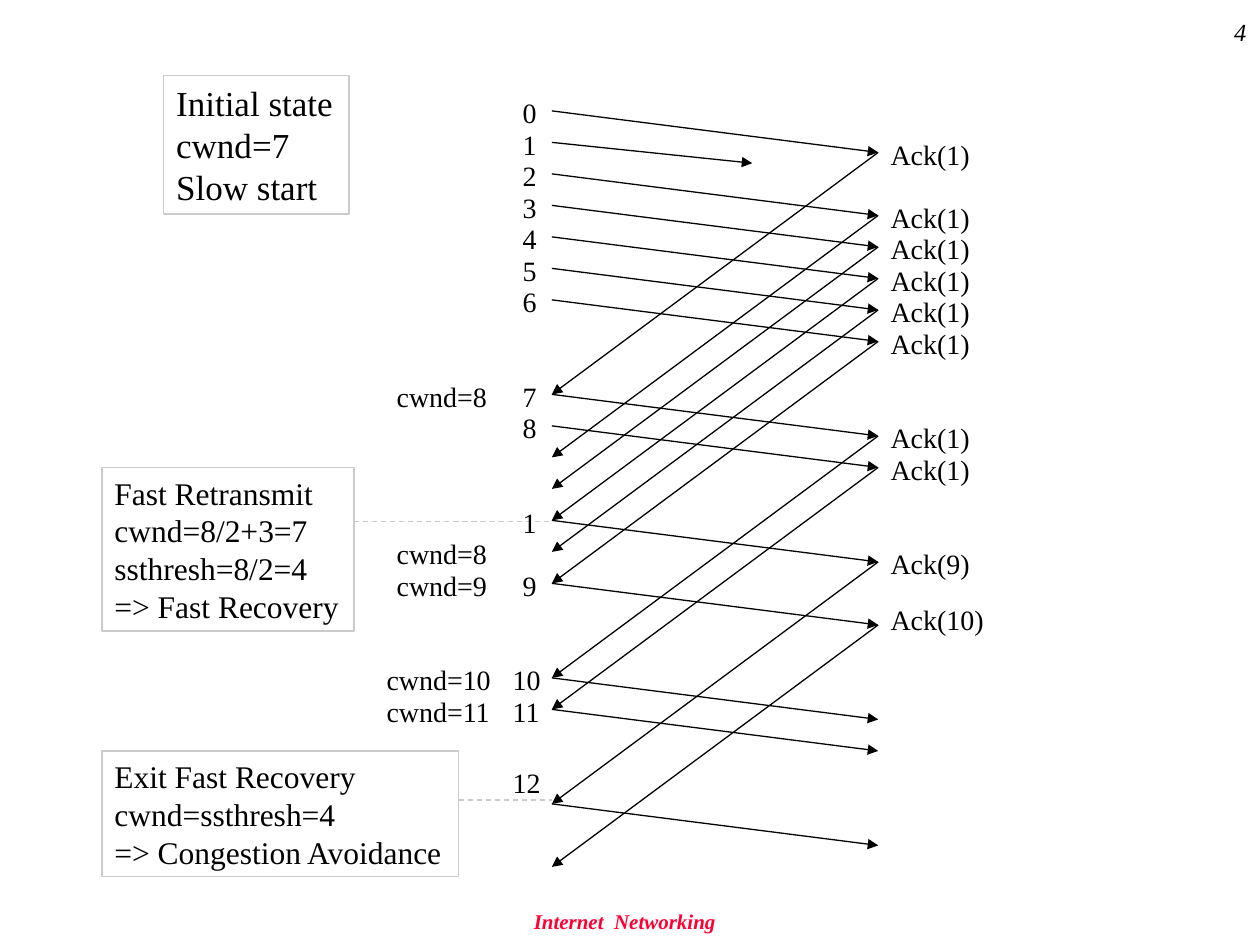
from dataclasses import dataclass
from lxml.etree import SubElement as Sub
from pptx import Presentation
from pptx.dml.color import RGBColor as RGB
from pptx.enum.dml import MSO_LINE as Dash
from pptx.enum.shapes import MSO_CONNECTOR as Link, MSO_SHAPE as Shape
from pptx.enum.text import MSO_ANCHOR as Anchor, MSO_AUTO_SIZE as Auto, PP_ALIGN as Align
from pptx.oxml.ns import qn
from pptx.util import Inches, Pt


@dataclass(frozen=True)
class Theme:
    face: str = "Times New Roman"
    ink: RGB = RGB(0, 0, 0)
    gray: RGB = RGB(0xCB, 0xCB, 0xCB)
    red: RGB = RGB(0xFF, 0, 0x33)
    label: int = 16
    note: int = 18
    state: int = 20
    page: int = 14
    foot: int = 12
    line: float = 0.75


T = Theme()

# Time grid: one row per packet slot, between two hosts
TOP, ROW = 0.88, 0.25
LEFT, RIGHT = 4.38, 6.97
TRIP = 0.33          # fall of a packet on its way
BACK = 9             # rows until its ack is home
LIFT = 0.17          # label top above its row
HIGH = 0.37          # label height

SENT = {0: "0", 1: "1", 2: "2", 3: "3", 4: "4", 5: "5", 6: "6",
        9: "7", 10: "8", 13: "1", 15: "9", 18: "10", 19: "11", 22: "12"}
LOST = 1
ACKS = {0: "1", 2: "1", 3: "1", 4: "1", 5: "1", 6: "1",
        9: "1", 10: "1", 13: "9", 15: "10"}
CWND = {9: "8", 14: "8", 15: "9", 18: "10", 19: "11"}
NUDGE = {"12": -0.18, "Ack(10)": -0.06}

# Notes: place, type size, paragraphs
NOTES = [
    ((1.3, 0.6, 1.47, 1.1), T.state, ["Initial state", "cwnd=7", "Slow start"]),
    ((0.81, 3.71, 2, 1.3), T.note,
     ["Fast Retransmit\vcwnd=8/2+3=7", "ssthresh=8/2=4", "=> Fast Recovery"]),
    ((0.81, 5.96, 2.83, 1), T.note,
     ["Exit Fast Recovery\vcwnd=ssthresh=4", "=> Congestion Avoidance"]),
]


def at(row):
    return TOP + ROW * row


def write(shape, lines, size, color=T.ink, align=Align.LEFT, bold=False,
          slant=False, wrap=False, anchor=Anchor.TOP, auto=Auto.SHAPE_TO_FIT_TEXT):
    frame = shape.text_frame
    frame.word_wrap, frame.auto_size = wrap, auto
    frame.vertical_anchor = anchor
    for i, text in enumerate(lines):
        para = frame.add_paragraph() if i else frame.paragraphs[0]
        para.text, para.alignment = text, align
        font = para.font
        font.name, font.size = T.face, Pt(size)
        font.bold, font.italic = bold, slant
        font.color.rgb = color


def text(slide, place, words, size, **style):
    box = slide.shapes.add_textbox(*map(Inches, place))
    write(box, [words], size, **style)


def label(slide, x, y, wide, words):
    text(slide, (x, y - LIFT + NUDGE.get(words, 0), wide, HIGH), words, T.label)


def note(slide, place, size, lines):
    box = slide.shapes.add_shape(Shape.RECTANGLE, *map(Inches, place))
    box.shadow.inherit = False
    box.fill.background()
    box.line.color.rgb, box.line.width = T.gray, Pt(T.line)
    write(box, lines, size)


def line(slide, start, end, color=T.ink):
    link = slide.shapes.add_connector(Link.STRAIGHT, *map(Inches, start + end))
    link.line.color.rgb, link.line.width = color, Pt(T.line)
    Sub(link._element.spPr, qn("a:effectLst"))
    return link.line


def arrow(slide, start, end):
    stroke = line(slide, start, end)
    Sub(stroke._get_or_add_ln(), qn("a:tailEnd"), type="triangle")


def dash(slide, x, end, y):
    line(slide, (x, y), (end, y), T.gray).dash_style = Dash.DASH


def main():
    deck = Presentation()
    deck.slide_width, deck.slide_height = Inches(10), Inches(7.5)
    slide = deck.slides.add_slide(deck.slide_layouts[6])

    # Page number and footer
    text(slide, (7.91, 0, 2.08, 0.5), "4", T.page, align=Align.RIGHT,
         slant=True, anchor=Anchor.MIDDLE, auto=Auto.NONE)
    text(slide, (0.46, 7.16, 9.04, 0.3), "Internet  Networking ", T.foot,
         color=T.red, align=Align.CENTER, bold=True, slant=True, wrap=True,
         anchor=Anchor.MIDDLE)

    # Notes and their dashed leaders
    for place, size, lines in NOTES:
        note(slide, place, size, lines)
    dash(slide, 2.81, LEFT, 4.14)
    dash(slide, 3.64, LEFT, 6.35)

    # Packets sent
    for row, num in SENT.items():
        y = at(row)
        end = (5.97, y + TRIP / 2) if row == LOST else (RIGHT, y + TRIP)
        arrow(slide, (LEFT, y), end)
        x, wide = (4.05, 0.33) if len(num) == 1 else (3.97, 0.44)
        label(slide, x, y, wide, num)

    # Acks coming back
    for row, num in ACKS.items():
        y = at(row) + TRIP
        arrow(slide, (RIGHT, y), (LEFT, at(row + BACK)))
        label(slide, RIGHT, y, 0.86 if len(num) == 1 else 0.97, f"Ack({num})")

    # Window sizes
    for row, num in CWND.items():
        x, wide = (3.05, 0.95) if len(num) == 1 else (2.97, 1.06)
        label(slide, x, at(row), wide, f"cwnd={num}")

    deck.save("out.pptx")


if __name__ == "__main__":
    main()
